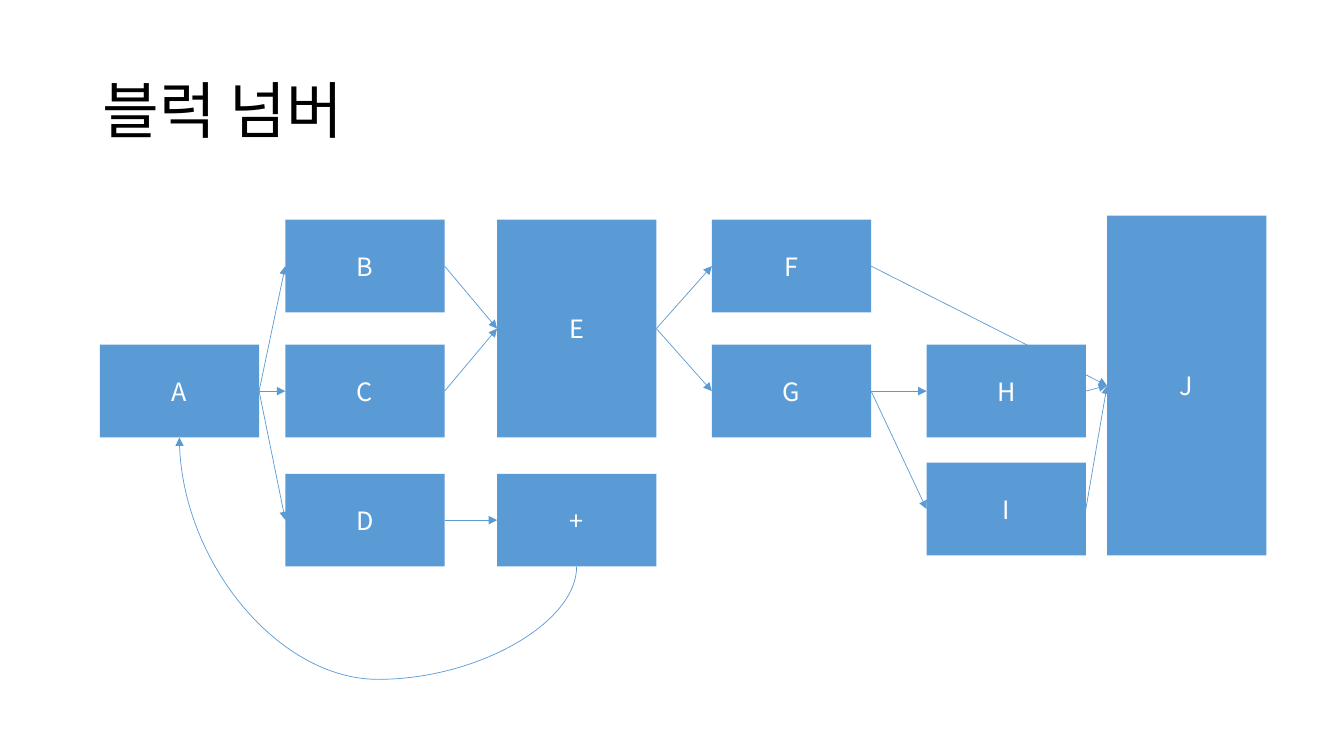
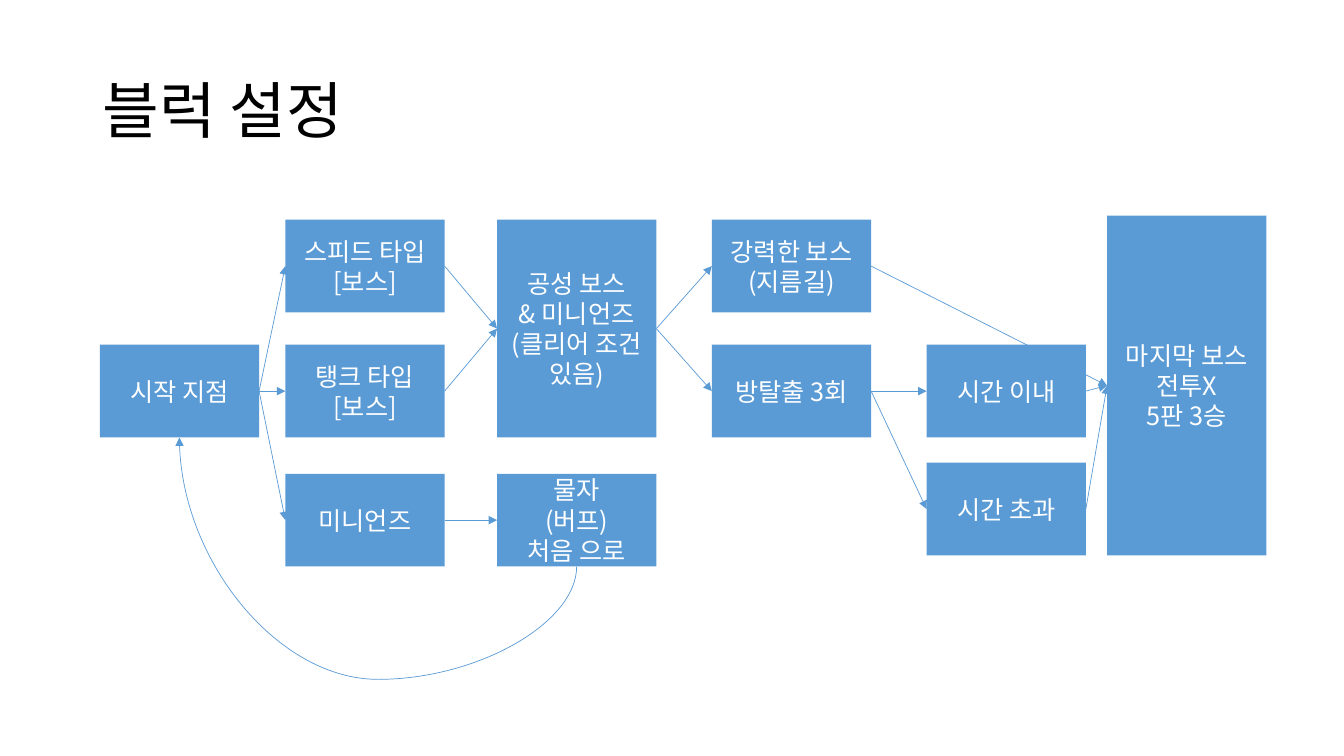
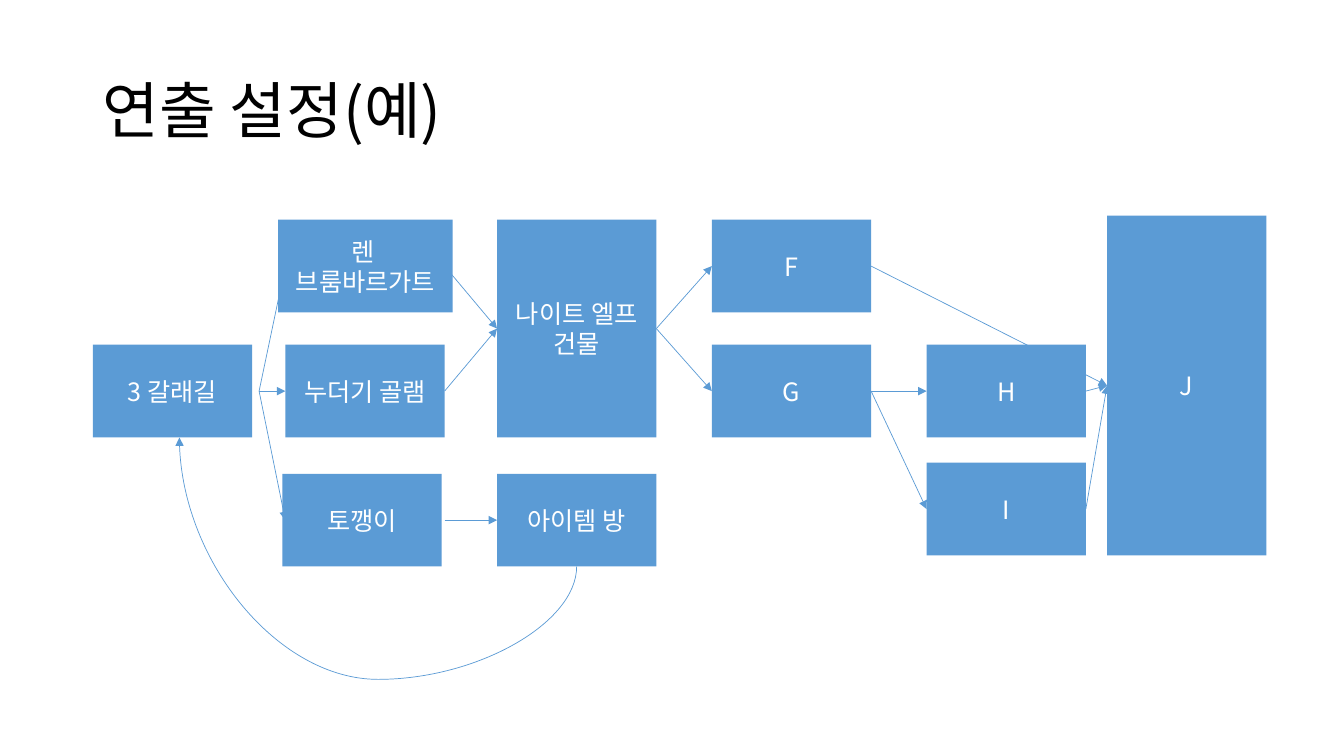
from lxml import etree
from pptx import Presentation
from pptx import util as u
from pptx.dml.color import RGBColor
from pptx.enum import shapes, text
from pptx.oxml.ns import qn

FONT = "Noto Sans CJK KR"
BLUE, WHITE, BLACK = "5B9BD5", "FFFFFF", "000000"
WIDE, TALL = 1.58, 0.92
LOW_POINT = 6.74

# Left, top, width, height of each block
BLOCKS = {
    "A": (0.99, 3.42, WIDE, TALL),
    "B": (2.83, 2.18, WIDE, TALL),
    "C": (2.83, 3.42, WIDE, TALL),
    "D": (2.83, 4.70, WIDE, TALL),
    "+": (4.93, 4.70, WIDE, TALL),
    "E": (4.93, 2.18, WIDE, 2.16),
    "F": (7.06, 2.18, WIDE, TALL),
    "G": (7.06, 3.42, WIDE, TALL),
    "H": (9.19, 3.42, WIDE, TALL),
    "I": (9.19, 4.59, WIDE, TALL),
    "J": (10.98, 2.14, WIDE, 3.37),
}
ARROWS = "AC AB AD BE CE D+ EF EG GH GI FJ HJ IJ".split()

# Title, block labels (the key where none is given), moved blocks
SLIDES = [
    ("블럭 넘버", {}, {}),
    ("블럭 설정", {
        "A": "시작 지점",
        "B": "스피드 타입\n[보스]",
        "C": "탱크 타입\n[보스]",
        "D": "미니언즈",
        "+": "물자\n(버프)\n처음 으로",
        "E": "공성 보스\n& 미니언즈\n(클리어 조건 있음)",
        "F": "강력한 보스\n(지름길)",
        "G": "방탈출 3회",
        "H": "시간 이내",
        "I": "시간 초과",
        "J": "마지막 보스\n전투X\n5판 3승",
    }, {}),
    ("연출 설정(예)", {
        "A": "3 갈래길",
        "B": "렌 \n브룸바르가트",
        "C": "누더기 골램",
        "D": "토깽이",
        "+": "아이템 방",
        "E": "나이트 엘프\n건물",
    }, {
        "A": (0.92, 3.42, WIDE, TALL),
        "B": (2.76, 2.18, 1.73, TALL),
        "D": (2.80, 4.70, WIDE, TALL),
    }),
]


def color(value):
    """Turn a hex string into a colour."""
    return RGBColor.from_string(value)


def write(shape, words, size, ink, **layout):
    """Write one paragraph per line, centred vertically in the shape."""
    frame = shape.text_frame
    frame.word_wrap = True
    frame.vertical_anchor = text.MSO_ANCHOR.MIDDLE
    for number, line in enumerate(words.split("\n")):
        para = frame.add_paragraph() if number else frame.paragraphs[0]
        for name, value in layout.items():
            setattr(para, name, value)
        span = para.add_run()
        span.text = line
        span.font.color.rgb = color(ink)
        for name, value in {"name": FONT, "size": u.Pt(size)}.items():
            setattr(span.font, name, value)
        etree.SubElement(span._r.get_or_add_rPr(), qn("a:ea"), typeface=FONT)


deck = Presentation()
deck.slide_width, deck.slide_height = u.Inches(13.33), u.Inches(7.5)

# Straight arrows run from the right side of a block to the left of the next
STRAIGHT = shapes.MSO_CONNECTOR.STRAIGHT
CURVE = shapes.MSO_CONNECTOR.CURVE
routes = []
for start, end in ARROWS:
    left, top, width, height = BLOCKS[start]
    next_left, next_top, _, next_height = BLOCKS[end]
    routes.append((STRAIGHT, left + width, top + height / 2,
                   next_left, next_top + next_height / 2))

# The loop back from "+" to A is laid out upright, then turned by 90 degrees
left, top, width, height = BLOCKS["+"]
loop_x, loop_y = left + width / 2, top + height
left, top, width, height = BLOCKS["A"]
home_x, home_y = left + width / 2, top + height
middle_x, middle_y = (loop_x + home_x) / 2, (loop_y + home_y) / 2
rise, run = loop_y - home_y, loop_x - home_x
bend = round((loop_y - LOW_POINT) / rise * 100000)
routes.append((CURVE, middle_x + rise / 2, middle_y - run / 2,
               middle_x - rise / 2, middle_y + run / 2))

for title, labels, moved in SLIDES:
    page = deck.slides.add_slide(deck.slide_layouts[6])

    for kind, *ends in routes:
        arrow = page.shapes.add_connector(kind, *map(u.Inches, ends))
        arrow.line.color.rgb = color(BLUE)
        arrow.line.width = u.Pt(0.5)
        properties = arrow._element.spPr
        etree.SubElement(properties.find(qn("a:ln")), qn("a:tailEnd"), type="triangle")
        etree.SubElement(properties, qn("a:effectLst"))
        if kind == CURVE:
            properties.find(qn("a:xfrm")).set("rot", str(90 * 60000))
            guides = properties.find(qn("a:prstGeom")).find(qn("a:avLst"))
            etree.SubElement(guides, qn("a:gd"), name="adj1", fmla=f"val {bend}")

    for key, place in {**BLOCKS, **moved}.items():
        block = page.shapes.add_shape(shapes.MSO_SHAPE.RECTANGLE, *map(u.Inches, place))
        block.shadow.inherit = False
        block.fill.solid()
        block.fill.fore_color.rgb = color(BLUE)
        block.line.fill.background()
        write(block, labels.get(key, key), 18, WHITE, alignment=text.PP_ALIGN.CENTER)

    heading = page.shapes.add_textbox(*map(u.Inches, (0.92, 0.4, 11.5, 1.45)))
    write(heading, title, 44, BLACK, line_spacing=0.9)

deck.save("out.pptx")
